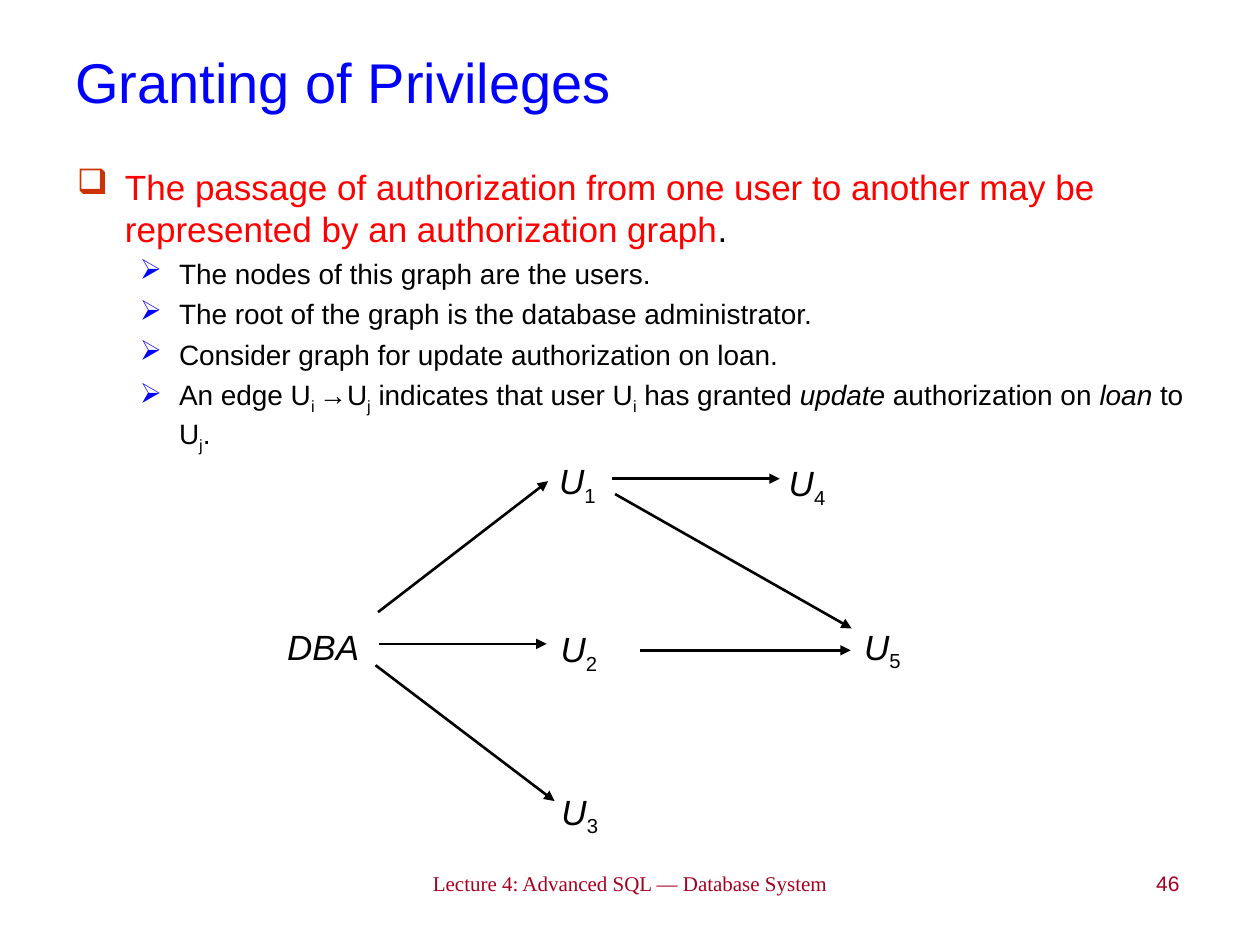
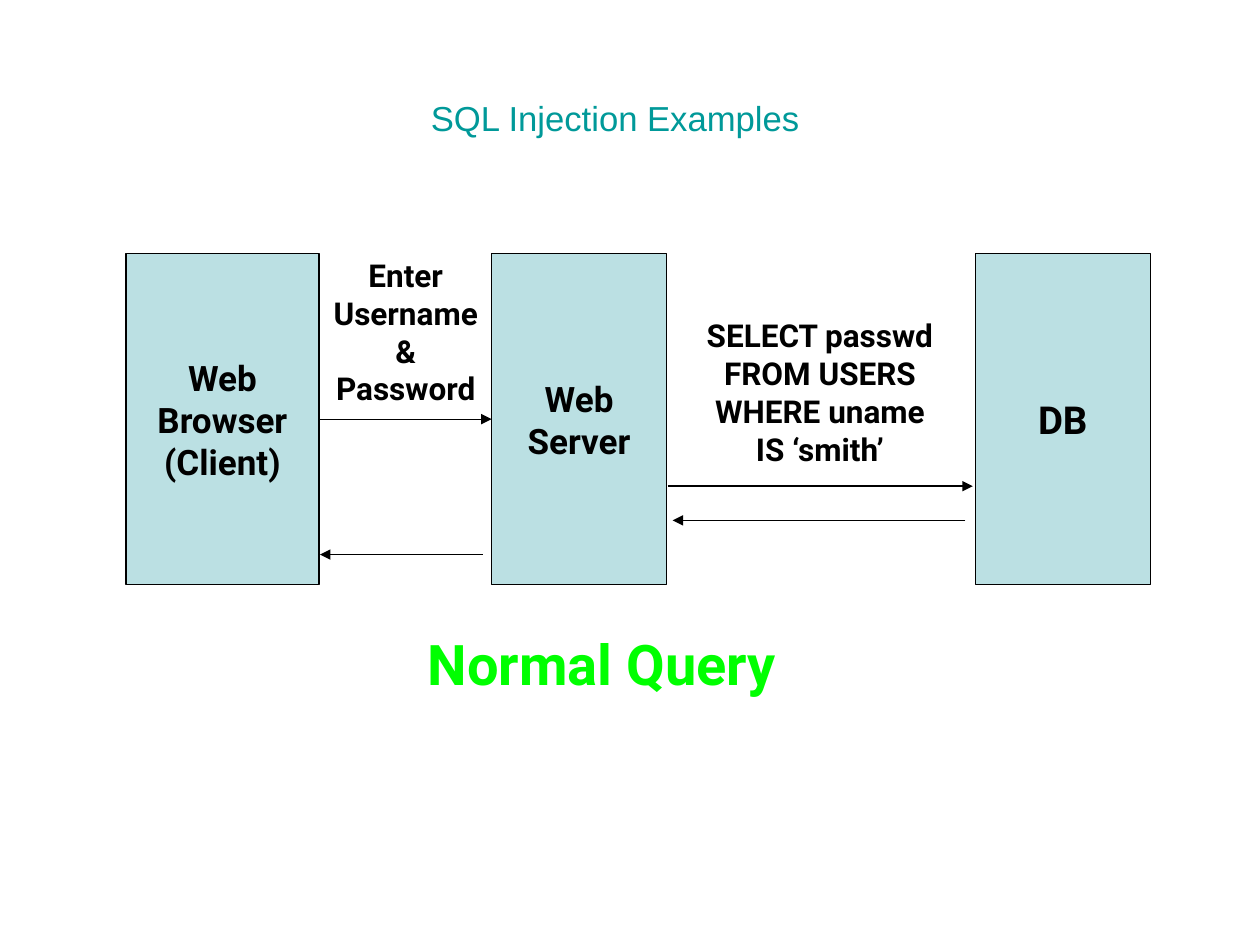
"""Build two database lecture slides: an authorization graph and a query flow."""
from lxml.etree import SubElement
from pptx import Presentation
from pptx.dml.color import RGBColor
from pptx.enum.shapes import MSO_CONNECTOR, MSO_SHAPE
from pptx.enum.text import MSO_ANCHOR, MSO_AUTO_SIZE, PP_ALIGN
from pptx.oxml.ns import qn
from pptx.util import Cm, Pt

BLACK = RGBColor(0x00, 0x00, 0x00)
BLUE = RGBColor(0x00, 0x00, 0xFF)
RED = RGBColor(0xFF, 0x00, 0x00)
GREEN = RGBColor(0x00, 0xFF, 0x00)
TEAL = RGBColor(0x00, 0x99, 0x99)
MAROON = RGBColor(0xA5, 0x00, 0x21)
RUST = RGBColor(0xCC, 0x33, 0x00)
PALE_BLUE = RGBColor(0xBB, 0xE0, 0xE3)

PLAIN = {"name": "Arial", "size": Pt(20), "color": BLACK}
NODE = {**PLAIN, "italic": True}
BOLD = {**PLAIN, "name": "Roboto", "bold": True}
CAPTION = {**BOLD, "size": Pt(18)}
FOOTER = {**PLAIN, "size": Pt(12), "color": MAROON}
ITALIC = {"italic": True}
SUBSCRIPT = {"italic": False, "baseline": "-25000"}

MAIN_BULLET = {"mark": "❑", "color": RUST, "left": 0.97, "hanging": 0.97, "before": 0}
SUB_BULLET = {"mark": "➢", "color": BLUE, "left": 2.06, "hanging": 0.79, "before": 4}


class SlideBuilder:
    def __init__(self, presentation):
        self.presentation = presentation
        self.slide = None

    def new_slide(self, title, box, style, align, spacing=1.0):
        self.slide = self.presentation.slides.add_slide(self.presentation.slide_layouts[5])
        shape = self.slide.shapes.title
        shape.left, shape.top, shape.width, shape.height = map(Cm, box)
        self.fill_text(shape, [title], style, align, anchor=MSO_ANCHOR.MIDDLE, wrap=True)
        shape.text_frame.paragraphs[0].line_spacing = spacing

    def add_run(self, paragraph, text, style):
        run = paragraph.add_run()
        run.text = text
        for key, value in style.items():
            if key == "color":
                run.font.color.rgb = value
            elif key == "baseline":
                run._r.get_or_add_rPr().set(key, value)
            else:
                setattr(run.font, key, value)

    def fill_text(self, shape, lines, style, align=PP_ALIGN.LEFT,
                  anchor=MSO_ANCHOR.TOP, wrap=False):
        frame = shape.text_frame
        settings = {
            "word_wrap": wrap, "auto_size": MSO_AUTO_SIZE.NONE, "vertical_anchor": anchor,
            "margin_left": Cm(0.25), "margin_right": Cm(0.25),
            "margin_top": Cm(0.13), "margin_bottom": Cm(0.13),
        }
        for key, value in settings.items():
            setattr(frame, key, value)
        for index, line in enumerate(lines):
            paragraph = frame.add_paragraph() if index else frame.paragraphs[0]
            paragraph.alignment = align
            for text, changes in [(line, {})] if isinstance(line, str) else line:
                self.add_run(paragraph, text, {**style, **changes})

    def text(self, lines, box, style, align=PP_ALIGN.LEFT, wrap=False):
        shape = self.slide.shapes.add_textbox(*map(Cm, box))
        self.fill_text(shape, lines, style, align, wrap=wrap)
        return shape

    def bullets(self, items, box):
        shape = self.text([line for line, _ in items], box, PLAIN, wrap=True)
        for paragraph, (_, bullet) in zip(shape.text_frame.paragraphs, items):
            paragraph.space_before = Pt(bullet["before"])
            properties = paragraph._p.get_or_add_pPr()
            properties.set("marL", str(Cm(bullet["left"])))
            properties.set("indent", str(-Cm(bullet["hanging"])))
            color = SubElement(properties, qn("a:buClr"))
            SubElement(color, qn("a:srgbClr"), val=str(bullet["color"]))
            SubElement(properties, qn("a:buChar"), char=bullet["mark"])

    def box(self, lines, box, size=Pt(20)):
        shape = self.slide.shapes.add_shape(MSO_SHAPE.RECTANGLE, *map(Cm, box))
        shape.shadow.inherit = False
        shape.fill.solid()
        shape.fill.fore_color.rgb = PALE_BLUE
        shape.line.color.rgb = BLACK
        shape.line.width = Pt(0.75)
        self.fill_text(shape, lines, {**BOLD, "size": size}, PP_ALIGN.CENTER, MSO_ANCHOR.MIDDLE)
        return shape

    def arrow(self, ends, width):
        connector = self.slide.shapes.add_connector(MSO_CONNECTOR.STRAIGHT, *map(Cm, ends))
        connector.line.color.rgb = BLACK
        connector.line.width = Pt(width)
        SubElement(connector.line._get_or_add_ln(), qn("a:tailEnd"), type="triangle")
        SubElement(connector._element.spPr, qn("a:effectLst"))
        return connector


def build_privileges(builder):
    builder.new_slide("Granting of Privileges", (1.27, 0.05, 22.86, 3.18),
                      {**PLAIN, "size": Pt(32), "color": BLUE}, PP_ALIGN.LEFT)
    builder.text(["Lecture 4: Advanced SQL — Database System"], (5.82, 17.42, 13.77, 1.14),
                 {**FOOTER, "name": "Times New Roman"}, PP_ALIGN.CENTER, wrap=True)
    builder.text(["46"], (20.42, 17.42, 3.61, 1.12), FOOTER, PP_ALIGN.RIGHT, wrap=True)

    small = {"size": Pt(16)}
    low, slanted = {**small, **SUBSCRIPT}, {**small, **ITALIC}
    edge = [
        ("An edge U", small), ("i ", low), ("→U", small), ("j", low),
        (" indicates that user U", small), ("i", low), (" has granted ", small),
        ("update", slanted), (" authorization on ", small), ("loan", slanted),
        (" to U", small), ("j", low), (".", small),
    ]
    passage = ("The passage of authorization from one user to another may be "
               "represented by an authorization graph")
    facts = [
        "The nodes of this graph are the users.",
        "The root of the graph is the database administrator.",
        "Consider graph for update authorization on loan.",
    ]
    builder.bullets(
        [([(passage, {"color": RED}), (".", {})], MAIN_BULLET)]
        + [([(fact, small)], SUB_BULLET) for fact in facts]
        + [(edge, SUB_BULLET)],
        (1.3, 3.2, 22.86, 13.74))

    for grant in [
        (7.62, 12.34, 11.05, 9.7), (12.34, 9.65, 15.72, 9.65),
        (7.65, 12.98, 11.02, 12.98), (7.57, 13.41, 11.18, 16.15),
        (12.9, 13.11, 17.15, 13.11), (12.4, 9.96, 17.17, 12.67),
    ]:
        builder.arrow(grant, 1.5)
    users = {"1": (11.02, 9.14), "4": (15.65, 9.17), "2": (11.05, 12.52),
             "5": (17.17, 12.47), "3": (11.07, 15.8)}
    for number, place in users.items():
        builder.text([[("U", {}), (number, SUBSCRIPT)]], (*place, 1.24, 1.22), NODE)
    builder.text(["DBA"], (5.54, 12.47, 1.96, 1.12), NODE)


def build_injection(builder):
    builder.new_slide("SQL Injection Examples", (1.91, 1.85, 20.98, 1.19),
                      {**PLAIN, "size": Pt(19.8), "color": TEAL}, PP_ALIGN.CENTER, 0.8)
    top, height = 5.11, 6.68
    server = builder.box(["Web", "Server"], (9.91, top, 3.53, height))
    browser = builder.box(["Web", "Browser", "(Client)"], (2.54, top, 3.89, height))
    builder.box(["DB"], (19.66, top, 3.53, height), Pt(22))

    login = builder.arrow((6.43, 8.45, 9.91, 8.45), 0.75)
    login.begin_connect(browser, 3)
    login.end_connect(server, 1)
    for start, end, level in [(9.73, 6.45, 11.18), (13.46, 19.61, 9.8), (19.46, 13.56, 10.49)]:
        builder.arrow((start, level, end, level), 0.75)

    builder.text(["Enter", "Username", "&", "Password"], (6.3, 5.03, 3.76, 3.3),
                 CAPTION, PP_ALIGN.CENTER)
    builder.text(["SELECT passwd", "FROM USERS", "WHERE uname", "IS ‘smith’"],
                 (13.89, 6.25, 5.28, 3.3), CAPTION, PP_ALIGN.CENTER)
    builder.text(["Normal Query"], (7.9, 12.57, 8.48, 2.97),
                 {**BOLD, "size": Pt(32), "color": GREEN}, PP_ALIGN.CENTER, wrap=True)


def main():
    presentation = Presentation()
    presentation.slide_width, presentation.slide_height = Cm(25.4), Cm(19.05)
    builder = SlideBuilder(presentation)
    build_privileges(builder)
    build_injection(builder)
    presentation.save("out.pptx")


if __name__ == "__main__":
    main()
